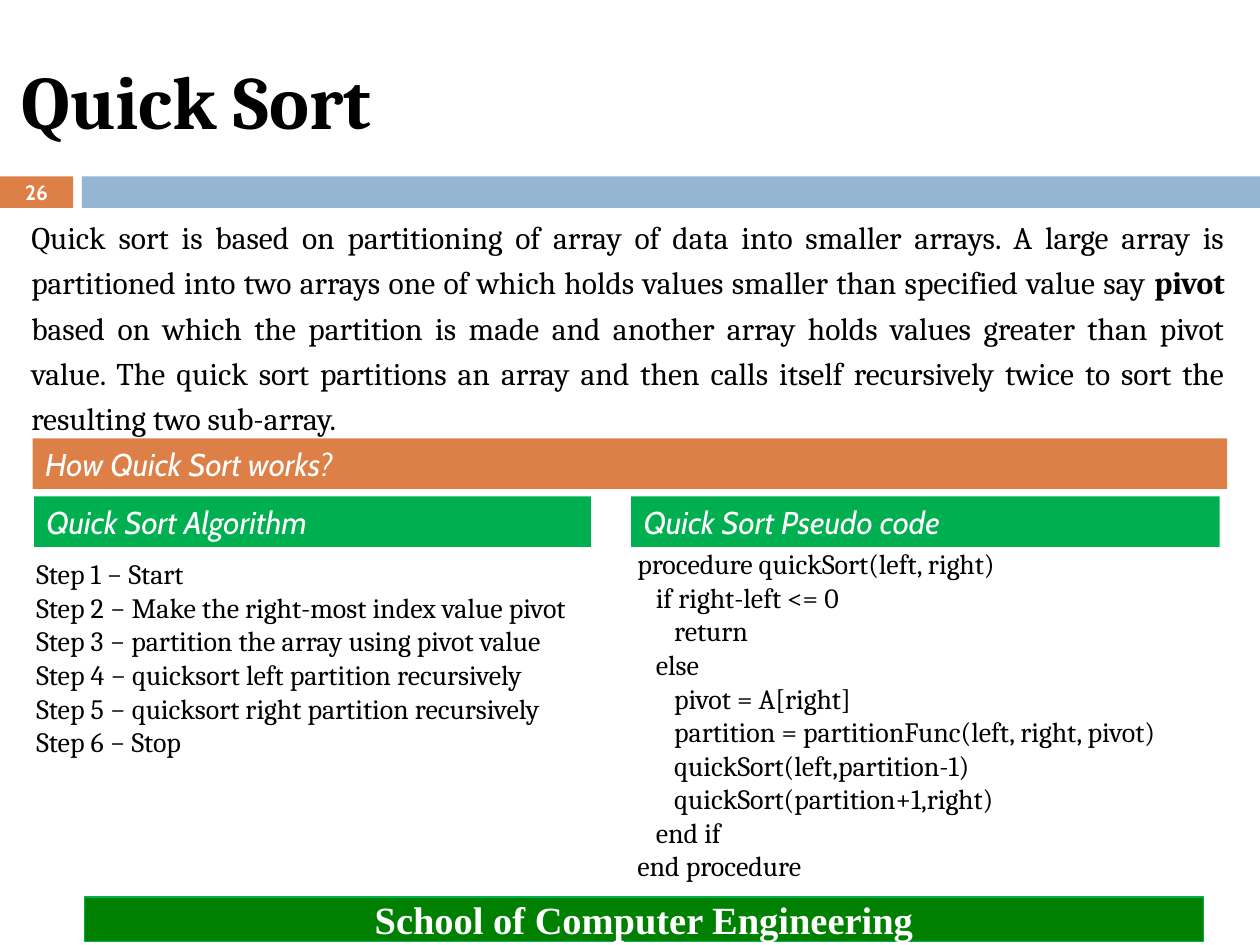
"""Build the Quick Sort slide with its algorithm and pseudo code."""
from pptx import Presentation
from pptx.dml.color import RGBColor
from pptx.enum.shapes import MSO_SHAPE
from pptx.enum.text import MSO_ANCHOR, PP_ALIGN
from pptx.util import Inches, Pt


def write(shape, text, font="Cambria", size=18, color="000000", bold=False,
          italic=False, align=PP_ALIGN.LEFT, anchor=MSO_ANCHOR.TOP,
          spacing=1.0, wrap=True, strong=None):
    """Fill a shape with text, one paragraph a line, with one bold word."""
    frame = shape.text_frame
    frame.word_wrap = wrap
    frame.vertical_anchor = anchor
    for i, line in enumerate(text.split("\n")):
        para = frame.add_paragraph() if i else frame.paragraphs[0]
        para.alignment = align
        para.line_spacing = spacing
        head, word, tail = line.partition(strong) if strong else (line, "", "")
        for part in filter(None, (head, word, tail)):
            run = para.add_run()
            run.text = part
            run.font.name = font
            run.font.size = Pt(size)
            run.font.bold = bold or part == strong
            run.font.italic = italic
            run.font.color.rgb = RGBColor.from_string(color)


def bar(left, top, width, height, fill, edge=None):
    """Add a flat rectangle, with an outline if an edge colour is given."""
    rect = slide.shapes.add_shape(MSO_SHAPE.RECTANGLE, Inches(left), Inches(top),
                                  Inches(width), Inches(height))
    rect.shadow.inherit = False
    rect.fill.solid()
    rect.fill.fore_color.rgb = RGBColor.from_string(fill)
    if edge:
        rect.line.color.rgb = RGBColor.from_string(edge)
        rect.line.width = Pt(0.75)
    else:
        rect.line.fill.background()
    return rect


ORANGE, GREEN, WHITE = "DD8047", "00B050", "FFFFFF"

deck = Presentation()
deck.slide_width, deck.slide_height = Inches(10), Inches(7.5)
slide = deck.slides.add_slide(deck.slide_layouts[5])

title = slide.shapes.title
title.left, title.top = Inches(0.07), Inches(0.25)
title.width, title.height = Inches(8.92), Inches(1.08)
write(title, "Quick Sort", size=43, bold=True, anchor=MSO_ANCHOR.MIDDLE)

number = bar(0, 1.4, 0.58, 0.25, ORANGE)
write(number, "26", font="Cabin", size=11.9, color=WHITE, bold=True,
      align=PP_ALIGN.CENTER, anchor=MSO_ANCHOR.MIDDLE)
bar(0.65, 1.4, 9.35, 0.25, "94B6D2")

footer = bar(0.67, 7.12, 8.88, 0.35, "008000", GREEN)
write(footer, "School of Computer Engineering", font="Times New Roman", size=22,
      color=WHITE, bold=True, align=PP_ALIGN.CENTER, anchor=MSO_ANCHOR.MIDDLE)

heads = [
    ("How Quick Sort works?", 0.26, 3.48, 9.48, ORANGE),
    ("Quick Sort Algorithm", 0.27, 3.94, 4.42, GREEN),
    ("Quick Sort Pseudo code", 5.01, 3.94, 4.67, GREEN),
]
for text, left, top, width, fill in heads:
    write(bar(left, top, width, 0.4, fill), text, font="Cabin", color=WHITE,
          italic=True)

intro = (
    "Quick sort is based on partitioning of array of data into smaller arrays. "
    "A large array is partitioned into two arrays one of which holds values "
    "smaller than specified value say pivot based on which the partition is made "
    "and another array holds values greater than pivot value. The quick sort "
    "partitions an array and then calls itself recursively twice to sort the "
    "resulting two sub-array."
)
steps = """Step 1 − Start
Step 2 − Make the right-most index value pivot
Step 3 − partition the array using pivot value
Step 4 − quicksort left partition recursively
Step 5 − quicksort right partition recursively
Step 6 − Stop"""
code = """procedure quickSort(left, right)
   if right-left <= 0
      return
   else
      pivot = A[right]
      partition = partitionFunc(left, right, pivot)
      quickSort(left,partition-1)
      quickSort(partition+1,right)
   end if
end procedure"""

bodies = [
    (intro, 0.15, 1.62, 9.67, 1.92,
     dict(align=PP_ALIGN.JUSTIFY, spacing=1.2, strong="pivot")),
    (steps, 0.19, 4.37, 4.63, 1.72, dict(size=16, wrap=False)),
    (code, 4.96, 4.29, 4.81, 2.79, dict(size=16)),
]
for text, left, top, width, height, style in bodies:
    box = slide.shapes.add_textbox(Inches(left), Inches(top), Inches(width),
                                   Inches(height))
    write(box, text, **style)

deck.save("out.pptx")
